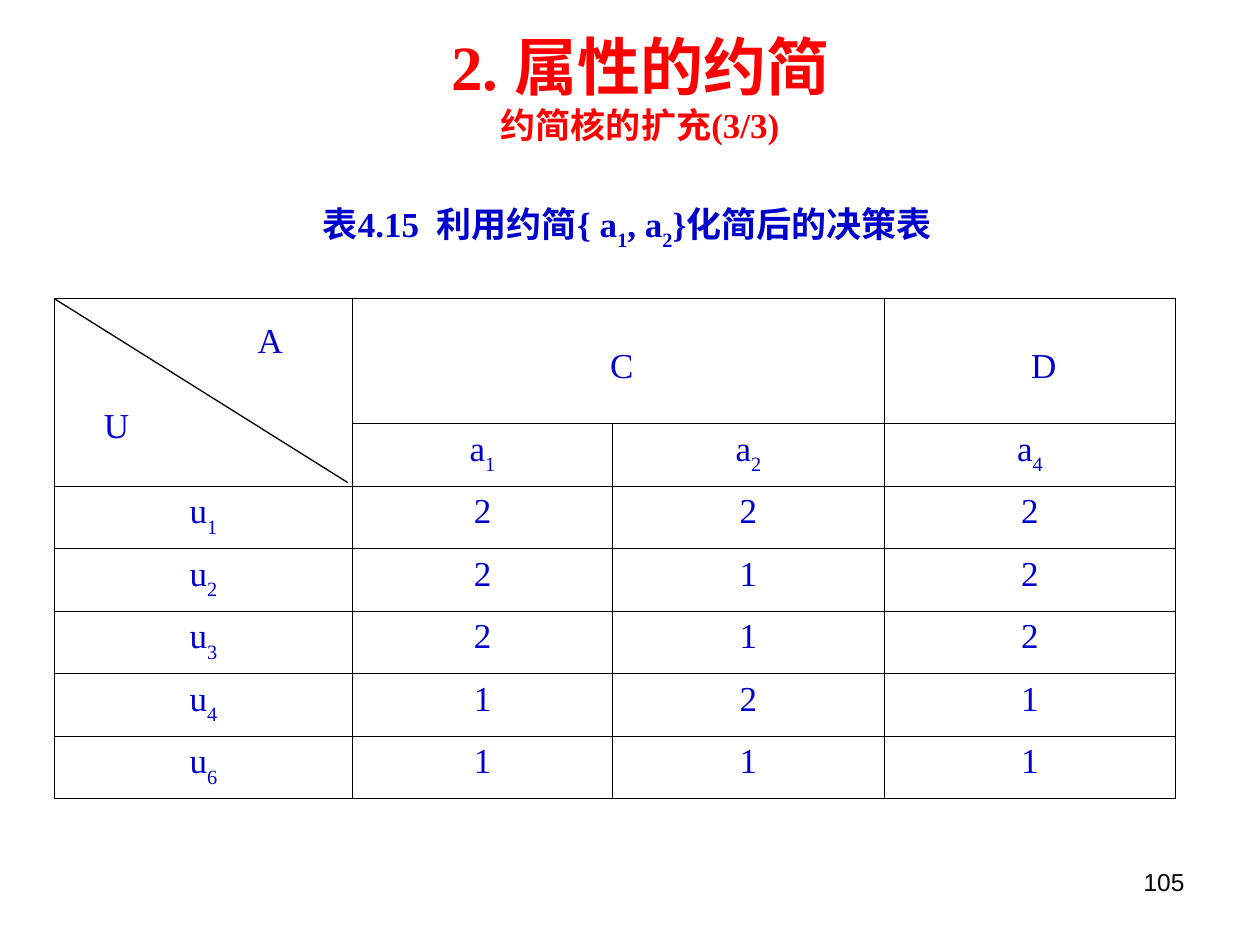
import pptx
import pptx.util
import pptx.dml.color
import pptx.enum.shapes
import pptx.enum.text
import pptx.oxml
from lxml import etree

Inches, Pt = pptx.util.Inches, pptx.util.Pt
ALIGN = pptx.enum.text.PP_ALIGN
ANCHOR = pptx.enum.text.MSO_ANCHOR
FIT = pptx.enum.text.MSO_AUTO_SIZE.SHAPE_TO_FIT_TEXT
KIND = pptx.enum.shapes
NS = "http://schemas.openxmlformats.org/drawingml/2006/main"

COLORS = {"title": "FF0000", "body": "0000CC", "rule": "000000", "paper": "FFFFFF"}

# An underscore lowers the one character that follows it.
TITLE = [("2. 属性的约简", 36), ("约简核的扩充(3/3)", 20)]
CAPTION = "表4.15  利用约简{ a_1, a_2}化简后的决策表"
PAGE = "105"
ROWS = [
    ["", "", "", ""],
    ["", "a_1", "a_2", "a_4"],
    ["u_1", "2", "2", "2"],
    ["u_2", "2", "1", "2"],
    ["u_3", "2", "1", "2"],
    ["u_4", "1", "2", "1"],
    ["u_6", "1", "1", "1"],
]
LABELS = [("A", 1.93, 2.53), ("C", 4.72, 2.73), ("D", 8.07, 2.73)]
ROW_LABEL = ("U", 0.71, 3.2)
LEFT, TOP, HIGH = 0.43, 2.37, 3.97
COLS = [2.37, 2.06, 2.16, 2.31]
SHARES = [2] + [1] * 6

prs = pptx.Presentation()
prs.slide_width, prs.slide_height = Inches(10), Inches(7.5)
slide = prs.slides.add_slide(prs.slide_layouts[6])
shapes = slide.shapes


def rgb(name):
    return pptx.dml.color.RGBColor.from_string(COLORS[name])


def write(para, text, size=20, color="body", bold=False,
          face="Times New Roman", align=ALIGN.CENTER):
    """Fill a paragraph, lowering each character marked by an underscore."""
    para.alignment = align
    head, *tails = text.split("_")
    parts = [(head, False)]
    for tail in tails:
        parts += [(tail[0], True), (tail[1:], False)]
    for part, low in parts:
        if not part:
            continue
        run = para.add_run()
        run.text = part
        font = run.font
        font.size, font.bold, font.name = Pt(size), bold, face
        font.color.rgb = rgb(color)
        if low:
            font._element.set("baseline", "-30000")


def add_box(x, y, w, h):
    frame = shapes.add_textbox(*map(Inches, (x, y, w, h))).text_frame
    frame.word_wrap = True
    return frame


def add_label(text, x, y):
    box = shapes.add_shape(KIND.MSO_SHAPE.RECTANGLE,
                           *map(Inches, (x, y, 0.43, 0.32)))
    box.shadow.inherit = False
    box.fill.solid()
    box.fill.fore_color.rgb = rgb("paper")
    box.line.fill.background()
    frame = box.text_frame
    frame.margin_left = frame.margin_right = 0
    frame.margin_top = frame.margin_bottom = 0
    frame.vertical_anchor = ANCHOR.TOP
    write(frame.paragraphs[0], text)


def add_borders(cell):
    props = cell._tc.get_or_add_tcPr()
    for side in ("lnL", "lnR", "lnT", "lnB"):
        props.append(pptx.oxml.parse_xml(
            f'<a:{side} xmlns:a="{NS}" w="{Pt(0.45)}"><a:solidFill>'
            f'<a:srgbClr val="{COLORS["rule"]}"/></a:solidFill></a:{side}>'))


def add_grid():
    grid = shapes.add_table(len(ROWS), len(COLS), Inches(LEFT), Inches(TOP),
                            Inches(sum(COLS)), Inches(HIGH)).table
    grid.first_row = grid.horz_banding = False
    for col, width in zip(grid.columns, COLS):
        col.width = Inches(width)
    for row, share in zip(grid.rows, SHARES):
        row.height = Inches(HIGH * share / sum(SHARES))
    for r, row in enumerate(ROWS):
        for c, text in enumerate(row):
            cell = grid.cell(r, c)
            add_borders(cell)
            cell.fill.background()
            write(cell.text_frame.paragraphs[0], text)
    grid.cell(0, 0).merge(grid.cell(1, 0))
    grid.cell(0, 1).merge(grid.cell(0, 2))


write(add_box(7.17, 6.83, 2.33, 0.52).paragraphs[0], PAGE, 14, "rule",
      face="Arial", align=ALIGN.RIGHT)

title = add_box(0.67, 0.17, 8.82, 1.04)
title.auto_size = FIT
for i, (text, size) in enumerate(TITLE):
    para = title.add_paragraph() if i else title.paragraphs[0]
    write(para, text, size, "title", True)

slash = shapes.add_connector(KIND.MSO_CONNECTOR.STRAIGHT,
                             *map(Inches, (LEFT, TOP, 2.76, 3.83)))
slash.line.color.rgb = rgb("rule")
slash.line.width = Pt(0.75)
etree.SubElement(slash._element.spPr, f"{{{NS}}}effectLst")

add_label(*ROW_LABEL)

caption = add_box(0.63, 1.55, 8.7, 0.5)
caption.auto_size = FIT
caption.vertical_anchor = ANCHOR.MIDDLE
write(caption.paragraphs[0], CAPTION, bold=True)

add_grid()
for label in LABELS:
    add_label(*label)

prs.save("out.pptx")
